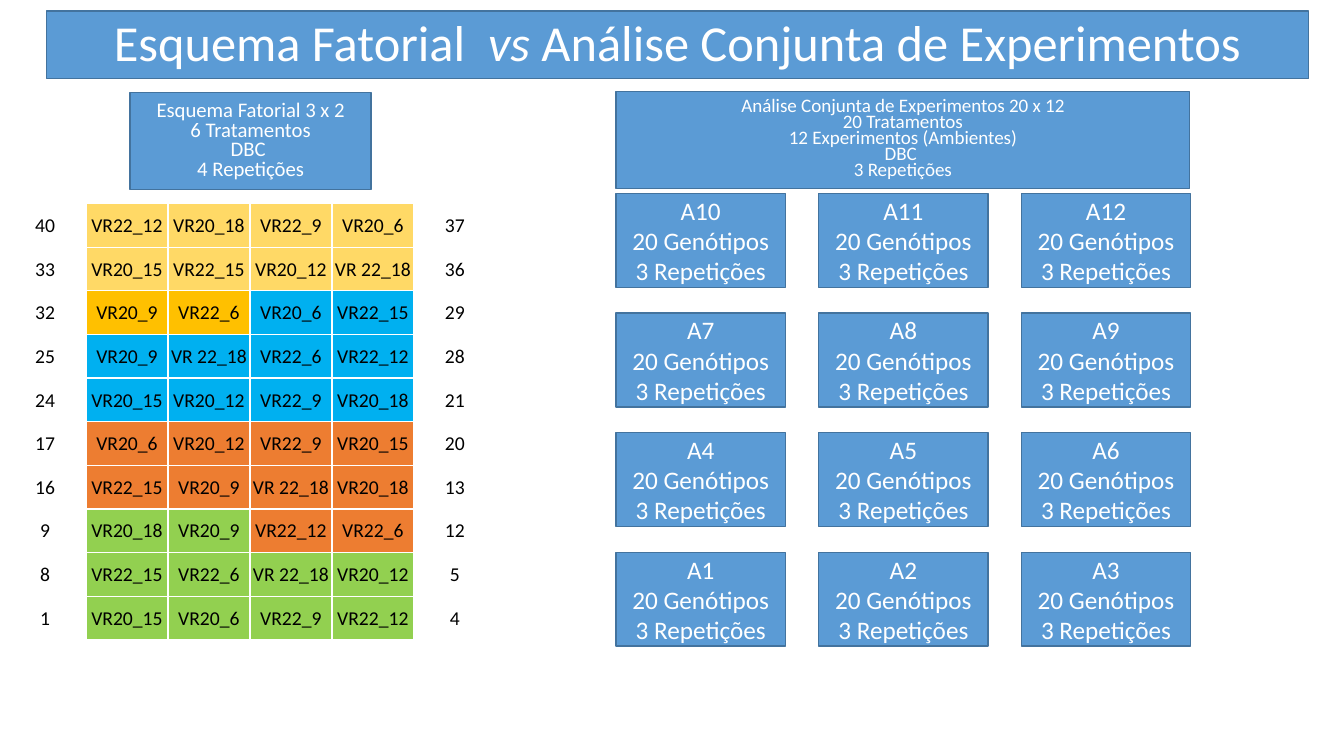
"""Build a slide comparing a factorial scheme with a joint analysis of experiments."""
from dataclasses import dataclass

from lxml import etree
from pptx import Presentation
from pptx.dml.color import RGBColor
from pptx.enum import shapes, text
from pptx.oxml import ns
from pptx.util import Inches, Pt


@dataclass(frozen=True)
class Theme:
    font: str = "Calibri"
    box: str = "5B9BD5"
    edge: str = "43739E"
    light: str = "FFFFFF"
    dark: str = "000000"
    title: float = 36
    trial: float = 18
    factorial: float = 14.8
    joint: float = 13.6
    plot: float = 14


THEME = Theme()

TITLE = [("Esquema Fatorial  ", False), ("vs ", True),
         ("Análise Conjunta de Experimentos", False)]
FACTORIAL = ["Esquema Fatorial 3 x 2", "6 Tratamentos", "DBC ", "4 Repetições"]
JOINT = ["Análise Conjunta de Experimentos 20 x 12", "20 Tratamentos",
         "12 Experimentos (Ambientes)", "DBC ", "3 Repetições"]
TRIAL_DETAIL = ["20 Genótipos", "3 Repetições"]
TRIAL_ROWS, TRIAL_COLS = 4, 3

FIELD = [
    (40, "VR22_12", "VR20_18", "VR22_9", "VR20_6", 37),
    (33, "VR20_15", "VR22_15", "VR20_12", "VR 22_18", 36),
    (32, "VR20_9", "VR22_6", "VR20_6", "VR22_15", 29),
    (25, "VR20_9", "VR 22_18", "VR22_6", "VR22_12", 28),
    (24, "VR20_15", "VR20_12", "VR22_9", "VR20_18", 21),
    (17, "VR20_6", "VR20_12", "VR22_9", "VR20_15", 20),
    (16, "VR22_15", "VR20_9", "VR 22_18", "VR20_18", 13),
    (9, "VR20_18", "VR20_9", "VR22_12", "VR22_6", 12),
    (8, "VR22_15", "VR22_6", "VR 22_18", "VR20_12", 5),
    (1, "VR20_15", "VR20_6", "VR22_9", "VR22_12", 4),
]
BLOCKS = [(10, "92D050"), (20, "ED7D31"), (30, "00B0F0"),
          (32, "FFC000"), (40, "FFD966")]


def rgb(value):
    return RGBColor.from_string(value)


def add_run(p, words, size, color, italic=False):
    r = p.add_run()
    r.text = words
    r.font.name, r.font.size = THEME.font, Pt(size)
    r.font.italic = italic
    r.font.color.rgb = rgb(color)


def write_lines(tf, lines, size, color, spacing=None):
    for i, runs in enumerate(lines):
        p = tf.paragraphs[0] if i == 0 else tf.add_paragraph()
        p.alignment = text.PP_ALIGN.CENTER
        if spacing:
            p.line_spacing = spacing
        for words, italic in runs:
            add_run(p, words, size, color, italic)


def style_box(sp, lines, size, spacing=None):
    sp.fill.solid()
    sp.fill.fore_color.rgb = rgb(THEME.box)
    sp.line.color.rgb = rgb(THEME.edge)
    sp.line.width = Pt(1)
    tf = sp.text_frame
    tf.word_wrap = True
    tf.auto_size = text.MSO_AUTO_SIZE.NONE
    tf.vertical_anchor = text.MSO_ANCHOR.MIDDLE
    write_lines(tf, lines, size, THEME.light, spacing)


def add_box(s, place, lines, size, spacing=None):
    sp = s.shapes.add_shape(shapes.MSO_SHAPE.RECTANGLE, *map(Inches, place))
    sp.shadow.inherit = False
    style_box(sp, [[(line, False)] for line in lines], size, spacing)


def set_borders(cell):
    tc_pr = cell._tc.get_or_add_tcPr()
    for i, side in enumerate(("lnL", "lnR", "lnT", "lnB")):
        ln = etree.Element(ns.qn(f"a:{side}"), w=str(Pt(1)))
        fill = etree.SubElement(ln, ns.qn("a:solidFill"))
        etree.SubElement(fill, ns.qn("a:srgbClr"), val=THEME.light)
        tc_pr.insert(i, ln)


def fill_cell(cell, value, color):
    cell.vertical_anchor = text.MSO_ANCHOR.MIDDLE
    cell.margin_left = cell.margin_right = cell.margin_top = Inches(0.01)
    cell.margin_bottom = 0
    write_lines(cell.text_frame, [[(str(value), False)]], THEME.plot, THEME.dark)
    if color:
        cell.fill.solid()
        cell.fill.fore_color.rgb = rgb(color)
    else:
        cell.fill.background()
    set_borders(cell)


def block_color(number):
    return next(color for last, color in BLOCKS if number <= last)


def add_field(s):
    rows, cols = len(FIELD), len(FIELD[0])
    table = s.shapes.add_table(rows, cols, Inches(0.04), Inches(2.02),
                               Inches(4.88), Inches(4.33)).table
    table.first_row = table.horz_banding = False
    for i, plots in enumerate(FIELD):
        first, last = plots[0], plots[-1]
        step = 1 if last > first else -1
        for j, value in enumerate(plots):
            inside = 0 < j < cols - 1
            color = block_color(first + step * (j - 1)) if inside else None
            fill_cell(table.cell(i, j), value, color)


def add_trials(s):
    for row in range(TRIAL_ROWS):
        for col in range(TRIAL_COLS):
            number = (TRIAL_ROWS - 1 - row) * TRIAL_COLS + col + 1
            place = (6.11 + 2.01 * col, 1.92 + 1.187 * row, 1.68, 0.93)
            add_box(s, place, [f"A{number}"] + TRIAL_DETAIL, THEME.trial)


def main():
    prs = Presentation()
    prs.slide_width, prs.slide_height = Inches(13.33), Inches(7.5)
    s = prs.slides.add_slide(prs.slide_layouts[5])
    title = s.shapes.title
    title.left, title.top = Inches(0.46), Inches(0.11)
    title.width, title.height = Inches(12.52), Inches(0.67)
    style_box(title, [TITLE], THEME.title, 0.9)
    add_field(s)
    add_trials(s)
    add_box(s, (1.29, 0.92, 2.39, 0.96), FACTORIAL, THEME.factorial, 0.8)
    add_box(s, (6.11, 0.91, 5.69, 0.96), JOINT, THEME.joint, 0.7)
    prs.save("out.pptx")


if __name__ == "__main__":
    main()
